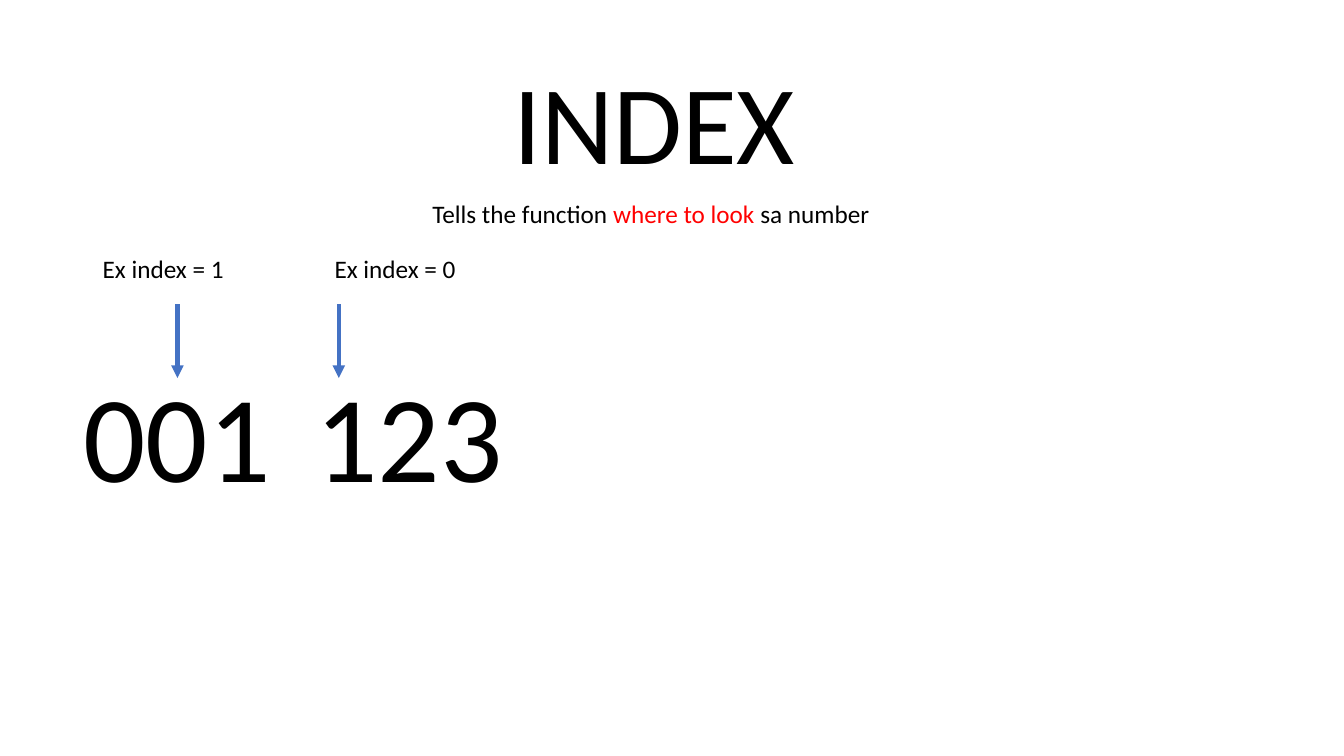
from lxml.etree import SubElement
from pptx import Presentation
from pptx.dml.color import RGBColor
from pptx.enum.shapes import MSO_CONNECTOR
from pptx.oxml.ns import qn
from pptx.util import Inches, Pt

BLACK = RGBColor(0x00, 0x00, 0x00)
RED = RGBColor(0xFF, 0x00, 0x00)
BLUE = RGBColor(0x44, 0x72, 0xC4)

# Content: text runs with their colours, then the examples
TITLE = [("INDEX", BLACK)]
SUBTITLE = [("Tells the function ", BLACK), ("where to look ", RED),
            ("sa number", BLACK)]
# label, number, arrow offset from the left of the number box
EXAMPLES = [("Ex index = 1", "001", 1.03), ("Ex index = 0", "123", 0.33)]

# Example columns, in inches
FIRST_LEFT, COLUMN_STEP = 0.73, 2.3
NUMBER_WIDTH, LABEL_WIDTH = 2.06, 1.68
ARROW_TOP, ARROW_BOTTOM = 3.02, 3.75

prs = Presentation()
prs.slide_width, prs.slide_height = Inches(13.33), Inches(7.5)
s = prs.slides.add_slide(prs.slide_layouts[6])


def add_text(runs, size, left, top, width, height):
    sp = s.shapes.add_textbox(*map(Inches, (left, top, width, height)))
    tf = sp.text_frame
    tf.word_wrap = True
    p = tf.paragraphs[0]
    p.font.name, p.font.size = "Calibri", Pt(size)
    for text, color in runs:
        r = p.add_run()
        r.text = text
        r.font.color.rgb = color


def add_down_arrow(x):
    sp = s.shapes.add_connector(MSO_CONNECTOR.STRAIGHT, Inches(x),
                                Inches(ARROW_TOP), Inches(x),
                                Inches(ARROW_BOTTOM))
    sp.line.color.rgb = BLUE
    sp.line.width = Pt(3)
    SubElement(sp.line._get_or_add_ln(), qn("a:tailEnd"), type="triangle")
    SubElement(sp._element.spPr, qn("a:effectLst"))


# Heading
add_text(TITLE, 80, 4.99, 0.47, 3.35, 1.45)
add_text(SUBTITLE, 18, 4.19, 1.92, 4.96, 0.4)

# Examples: label centred over its number, arrow at the indexed digit
for i, (label, number, offset) in enumerate(EXAMPLES):
    left = FIRST_LEFT + i * COLUMN_STEP
    label_left = left + (NUMBER_WIDTH - LABEL_WIDTH) / 2
    add_text([(number, BLACK)], 88, left, 3.52, NUMBER_WIDTH, 1.58)
    add_text([(label, BLACK)], 18, label_left, 2.46, LABEL_WIDTH, 0.4)
    add_down_arrow(left + offset)

prs.save("out.pptx")
